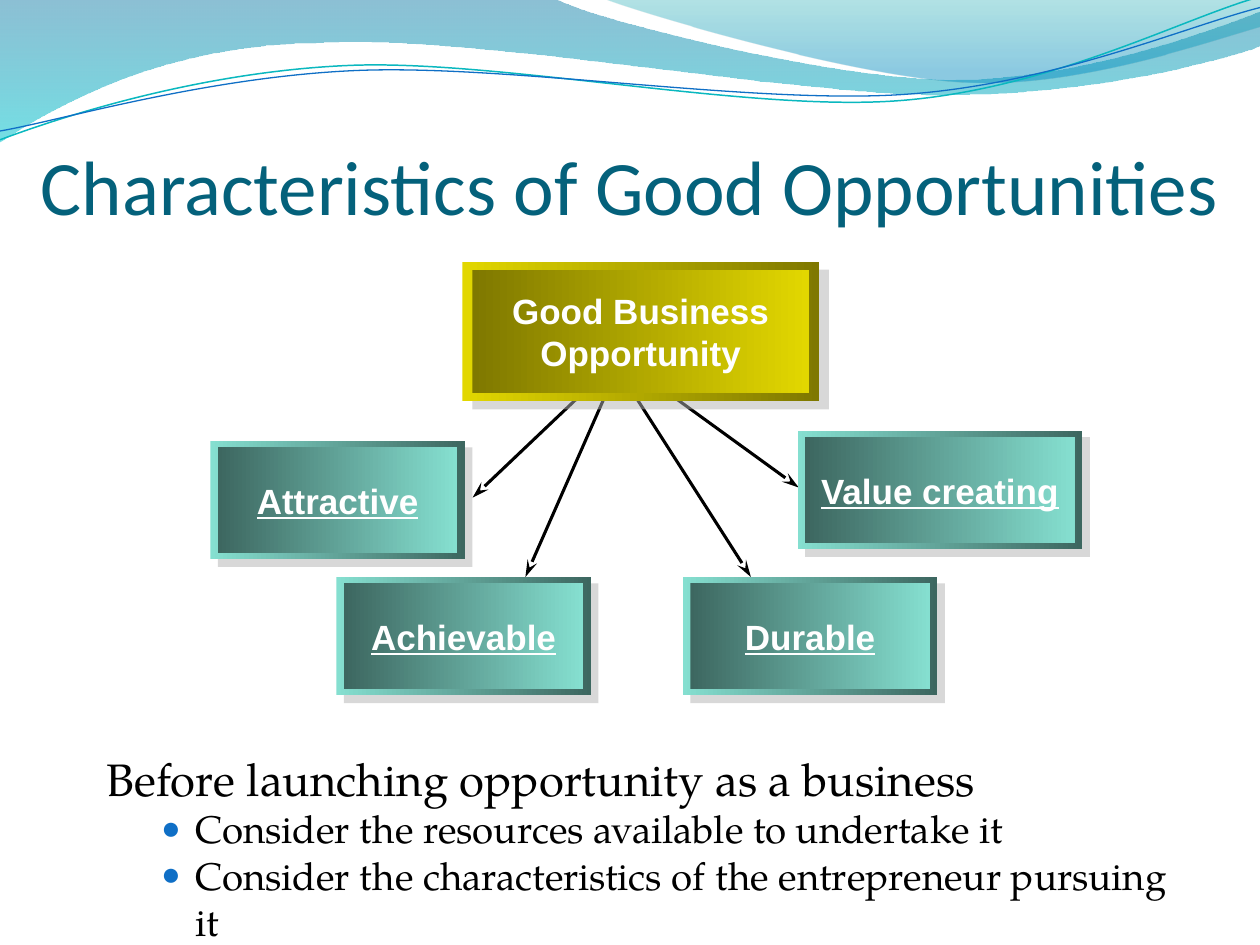
from lxml import etree
from pptx import Presentation
from pptx.dml.color import RGBColor
from pptx.enum import shapes, text
from pptx.oxml import ns
from pptx.util import Inches, Pt

# Light colour, and the shade of its dark end in thousandths of a percent
TEAL, YELLOW = ("85DFD0", 46275), ("E2D700", 56275)


def rgb(value):
    return RGBColor.from_string(value)


def sub(parent, tag, **attributes):
    return etree.SubElement(parent, ns.qn(tag), attributes)


def fill_colours(shape):
    return list(shape._element.spPr.iter(ns.qn("a:srgbClr")))


def add_alphas(shape, percents):
    for colour, percent in zip(fill_colours(shape), percents):
        sub(colour, "a:alpha", val=str(percent * 1000))


def darken(colour, shade):
    sub(colour, "a:gamma")
    sub(colour, "a:shade", val=str(shade))
    sub(colour, "a:invGamma")


def gradient(shape, colours, angle=0, end=1.0):
    shape.fill.gradient()
    shape.fill.gradient_angle = angle
    stops = shape.fill.gradient_stops
    for stop, colour in zip(stops, colours):
        stop.color.rgb = rgb(colour)
    stops[0].position, stops[1].position = 0, end


def write(paragraph, words, size, font, colour):
    paragraph.text = words
    paragraph.font.size, paragraph.font.name = Pt(size), font
    paragraph.font.color.rgb = rgb(colour)


def set_insets(frame, left, top, right, bottom):
    frame.margin_left, frame.margin_top = Inches(left), Inches(top)
    frame.margin_right, frame.margin_bottom = Inches(right), Inches(bottom)


# Header waves
def add_outline(slide, points, segments, closed):
    """Outline from points; each L segment uses one point, each C three."""
    track = [(Inches(x), Inches(y)) for x, y in points]
    builder = slide.shapes.build_freeform(*track[0], scale=1.0)
    builder.add_line_segments(track[1:], close=closed)
    outline = builder.convert_to_shape()
    outline.shadow.inherit = False
    sides = iter(list(outline._element.iter(ns.qn("a:lnTo"))))
    for segment in segments:
        side = next(sides)
        if segment == "C":
            side.addprevious(curve := etree.Element(ns.qn("a:cubicBezTo")))
            for part in (side, next(sides), next(sides)):
                curve.append(part[0])
                part.getparent().remove(part)
    return outline


def add_waves(slide):
    wide = [(0, -0.01), (4.4, -0.01), (4.76, 0.17), (6.64, 0.63), (7.58, 0.63),
            (8.53, 0.63), (9.58, 0.26), (10, 0.09),
            (10.01, 0.36), (9.83, 0.44), (8.7, 0.76), (7.46, 0.75),
            (6.22, 0.75), (3.82, 0.28), (2.57, 0.34),
            (1.29, 0.35), (0.46, 0.83), (-0.01, 1.13)]
    crest = [(4.79, -0.01), (5.09, 0.11), (6.82, 0.62), (7.69, 0.65),
             (8.56, 0.69), (9.61, 0.32), (10, 0.21), (10, 0)]
    bands = [(wide, "LCCLCCC", ("0074A1", "00C6CF"), (45, 55), 1.0),
             (crest, "CCL", ("00A1A9", "008BBF"), (30, 45), 0.8)]
    for points, segments, colours, alphas, end in bands:
        band = add_outline(slide, points, segments, True)
        gradient(band, colours, 270, end)
        add_alphas(band, alphas)
        band.line.fill.background()

    strands = [([(0, 1.11), (0.48, 0.93), (1.58, 0.57), (2.77, 0.52), (3.95, 0.47),
                 (5.93, 0.89), (7.13, 0.8), (8.33, 0.71), (9.38, 0.15), (9.98, -0.02)],
                "0AB8BF", 0.85),
               ([(0, 1.04), (0.47, 0.96), (1.64, 0.61), (2.83, 0.56), (4.03, 0.51),
                 (5.97, 0.83), (7.17, 0.75), (8.36, 0.67), (9.41, 0.21), (10, 0.06)],
                "0F6FC6", 0.75)]
    for points, colour, width in strands:
        strand = add_outline(slide, points, "CCC", False)
        strand.fill.background()
        strand.line.color.rgb, strand.line.width = rgb(colour), Pt(width)


def add_title(slide, left, top, width, height, words):
    frame = slide.shapes.add_textbox(*map(Inches, (left, top, width, height))).text_frame
    frame.word_wrap = True
    frame.vertical_anchor = text.MSO_ANCHOR.BOTTOM
    set_insets(frame, 0, 0.05, 0, 0)
    write(frame.paragraphs[0], words, 44, "Calibri", "04617B")
    frame.paragraphs[0].alignment = text.PP_ALIGN.CENTER


# Bevelled diagram box: shadow, rim and face
def add_rect(slide, left, top, width, height):
    rect = slide.shapes.add_shape(shapes.MSO_SHAPE.RECTANGLE,
                                  *map(Inches, (left, top, width, height)))
    rect.shadow.inherit = False
    rect.line.fill.background()
    return rect


def add_box(slide, left, top, width, height, words, palette, rim_size, underline=True):
    light, shade = palette
    dx, dy = rim_size
    shadow = add_rect(slide, left + dx, top + dy, width, height + 0.01)
    shadow.fill.solid()
    shadow.fill.fore_color.rgb = rgb("B2B2B2")
    add_alphas(shadow, [50])

    rim = add_rect(slide, left, top, width, height)
    gradient(rim, (light, light))
    darken(fill_colours(rim)[1], shade)

    face = add_rect(slide, left + dx, top + dy, width - 2 * dx, height - 2 * dy)
    gradient(face, (light, light))
    darken(fill_colours(face)[0], shade)
    frame = face.text_frame
    frame.word_wrap = True
    frame.vertical_anchor = text.MSO_ANCHOR.MIDDLE
    set_insets(frame, 0, 0, 0, 0)
    label = frame.paragraphs[0]
    write(label, words, 20, "Arial", "FFFFFF")
    label.alignment = text.PP_ALIGN.CENTER
    label.font.bold = True
    if underline:
        label.font.underline = True


def add_arrow(slide, start, end):
    arrow = slide.shapes.add_connector(shapes.MSO_CONNECTOR.STRAIGHT,
                                       *map(Inches, start + end))
    arrow.line.color.rgb, arrow.line.width = rgb("000000"), Pt(1.75)
    sub(arrow.line._get_or_add_ln(), "a:tailEnd", type="stealth", w="med", len="lg")
    sub(arrow._element.spPr, "a:effectLst")


def add_diagram(slide, left, top):
    """Place the diagram with its top box's corner at left, top."""
    for x1, y1, x2, y2 in [(1.16, 1, 0.5, 2.5), (1.08, 0.92, 0.08, 1.87),
                           (1.33, 1, 2.29, 2.5), (1.58, 1, 2.67, 1.79)]:
        add_arrow(slide, (left + x1, top + y1), (left + x2, top + y2))
    add_box(slide, left, top, 2.83, 1.1, "Good Business Opportunity",
            YELLOW, (0.08, 0.06), underline=False)
    for dx, dy, width, trait in [(1.75, 2.5, 2.02, "Durable"),
                                 (2.66, 1.34, 2.26, "Value creating"),
                                 (-2, 1.42, 2.02, "Attractive"),
                                 (-1, 2.5, 2.02, "Achievable")]:
        add_box(slide, left + dx, top + dy, width, 0.94, trait, TEAL, (0.06, 0.05))


# Advice under the diagram
def add_advice(slide, left, top, width, height, lead, points):
    frame = slide.shapes.add_textbox(*map(Inches, (left, top, width, height))).text_frame
    frame.word_wrap = True
    write(frame.paragraphs[0], lead, 26, "TeX Gyre Pagella", "000000")
    for point in points:
        paragraph = frame.add_paragraph()
        write(paragraph, point, 22, "TeX Gyre Pagella", "000000")
        paragraph.level = 1
        props = paragraph._p.get_or_add_pPr()
        props.set("marL", str(Inches(0.7)))
        props.set("indent", str(Inches(-0.27)))
        bullet = [etree.Element(ns.qn(tag), attributes) for tag, attributes in
                  [("a:buClr", {}), ("a:buSzPct", {"val": "85000"}),
                   ("a:buFont", {"typeface": "Arial"}), ("a:buChar", {"char": "●"})]]
        sub(bullet[0], "a:srgbClr", val="0F6FC6")
        for place, part in enumerate(bullet):
            props.insert(place, part)


deck = Presentation()
deck.slide_width, deck.slide_height = Inches(10), Inches(7.5)
opportunity = deck.slides.add_slide(deck.slide_layouts[6])
add_waves(opportunity)
add_title(opportunity, 0, 0.58, 10, 1.25, "Characteristics of Good Opportunities")
add_diagram(opportunity, 3.67, 2.08)
add_advice(opportunity, 0.75, 5.91, 8.67, 1.28,
           "Before launching opportunity as a business",
           ["Consider the resources available to undertake it",
            "Consider the characteristics of the entrepreneur pursuing it"])
deck.save("out.pptx")
